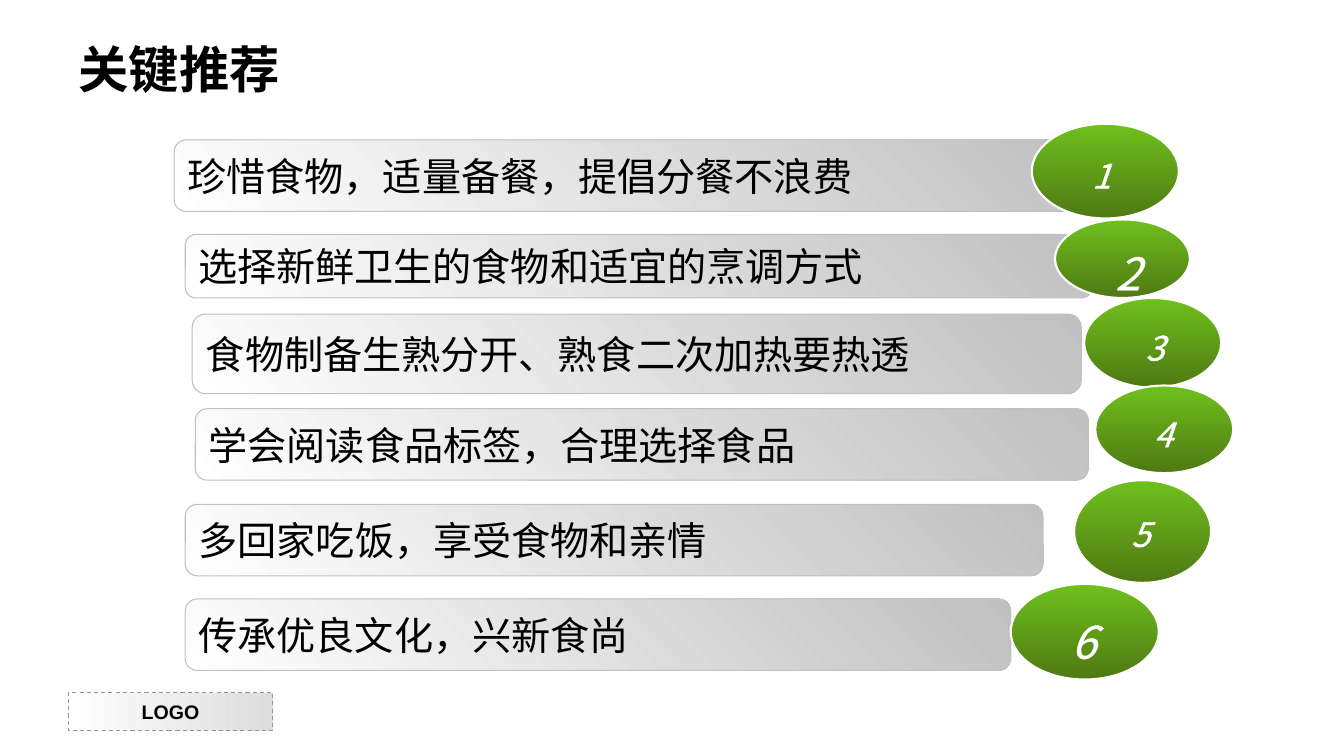
from dataclasses import dataclass
from lxml.etree import SubElement
from pptx import Presentation
from pptx.dml.color import RGBColor
from pptx.enum.dml import MSO_LINE
from pptx.enum.shapes import MSO_SHAPE
from pptx.enum.text import MSO_ANCHOR, PP_ALIGN
from pptx.oxml import parse_xml
from pptx.oxml.ns import nsdecls, qn
from pptx.util import Inches, Pt

COLORS = {
    "black": "000000", "white": "FFFFFF", "silver": "C0C0C0",
    "pale": "DDDDDD", "gray": "969696", "lime": "6FC01E", "moss": "4F7913",
}
CJK = "Noto Sans CJK SC"
Box = tuple[float, float, float, float]


@dataclass
class Look:
    kind: MSO_SHAPE
    start: str
    end: str
    angle: float  # counter-clockwise degrees
    line: str
    width: float


@dataclass
class Recommendation:
    text: str
    bar: Box
    oval: Box
    number: Box
    number_size: int = 24


BAR = Look(MSO_SHAPE.ROUNDED_RECTANGLE, "white", "silver", 45, "silver", 0.75)
OVAL = Look(MSO_SHAPE.OVAL, "lime", "moss", 270, "white", 1.5)
LOGO = Look(MSO_SHAPE.RECTANGLE, "white", "pale", 0, "gray", 0.75)

RECOMMENDATIONS = [
    Recommendation("珍惜食物，适量备餐，提倡分餐不浪费", (1.73, 1.39, 9.11, 0.71),
                   (10.25, 1.23, 1.46, 0.94), (10.75, 1.49, 0.33, 0.38)),
    Recommendation("选择新鲜卫生的食物和适宜的烹调方式", (1.84, 2.33, 9.01, 0.63),
                   (10.48, 2.18, 1.34, 0.78), (10.98, 2.39, 0.37, 0.32), 32),
    Recommendation("食物制备生熟分开、熟食二次加热要热透", (1.91, 3.12, 8.83, 0.79),
                   (10.77, 2.96, 1.36, 0.89), (11.28, 3.2, 0.38, 0.36)),
    Recommendation("学会阅读食品标签，合理选择食品", (1.94, 4.06, 8.87, 0.71),
                   (10.88, 3.83, 1.37, 0.87), (11.33, 4.06, 0.45, 0.35)),
    Recommendation("多回家吃饭，享受食物和亲情", (1.84, 5.01, 8.52, 0.71),
                   (10.67, 4.77, 1.36, 1.02), (11.11, 5.05, 0.44, 0.41)),
    Recommendation("传承优良文化，兴新食尚", (1.84, 5.95, 8.2, 0.71),
                   (10.04, 5.8, 1.47, 0.95), (10.52, 6.05, 0.48, 0.38), 32),
]


def rgb(name: str) -> RGBColor:
    return RGBColor.from_string(COLORS[name])


def add_shape(s, box: Box, look: Look):
    sp = s.shapes.add_shape(look.kind, *map(Inches, box))
    sp.shadow.inherit = False
    sp.fill.gradient()
    sp.fill.gradient_angle = look.angle
    for stop, color, position in zip(sp.fill.gradient_stops, (look.start, look.end), (0, 1)):
        stop.color.rgb = rgb(color)
        stop.position = position
    sp.line.color.rgb = rgb(look.line)
    sp.line.width = Pt(look.width)
    return sp


def write(sp, text: str, color: str = "black", align=PP_ALIGN.LEFT,
          anchor=MSO_ANCHOR.MIDDLE, wrap: bool = False, **font):
    tf = sp.text_frame
    tf.word_wrap = wrap
    tf.vertical_anchor = anchor
    p = tf.paragraphs[0]
    p.alignment = align
    r = p.add_run()
    r.text = text
    r.font.color.rgb = rgb(color)
    for name, value in ({"name": CJK} | font).items():
        setattr(r.font, name, value)
    # East Asian glyphs take the same typeface
    SubElement(r.font._element, qn("a:ea"), typeface=r.font.name)
    return r


def add_text(s, box: Box, text: str, **style):
    return write(s.shapes.add_textbox(*map(Inches, box)), text, **style)


def outline(r, color: str, width: float) -> None:
    r.font._element.insert(0, parse_xml(
        f'<a:ln {nsdecls("a")} w="{Pt(width)}"><a:solidFill>'
        f'<a:srgbClr val="{COLORS[color]}"/></a:solidFill></a:ln>'))


def main() -> None:
    prs = Presentation()
    prs.slide_width, prs.slide_height = Inches(13.35), Inches(7.5)
    s = prs.slides.add_slide(prs.slide_layouts[6])

    # Footer label and title
    label = add_shape(s, (0.68, 6.88, 2.03, 0.38), LOGO)
    label.line.dash_style = MSO_LINE.DASH
    write(label, "LOGO", align=PP_ALIGN.CENTER, name="Arial", size=Pt(14), bold=True)
    add_text(s, (0.68, 0.35, 11.98, 0.65), "关键推荐", wrap=True, size=Pt(36), bold=True)

    # Recommendation bars with numbered ovals
    for number, item in enumerate(RECOMMENDATIONS, 1):
        write(add_shape(s, item.bar, BAR), item.text, size=Pt(28))
        add_shape(s, item.oval, OVAL)
        r = add_text(s, item.number, str(number), color="white", align=PP_ALIGN.CENTER,
                     anchor=MSO_ANCHOR.TOP, size=Pt(item.number_size), italic=True)
        outline(r, "white", 0.75)

    prs.save("out.pptx")


if __name__ == "__main__":
    main()
